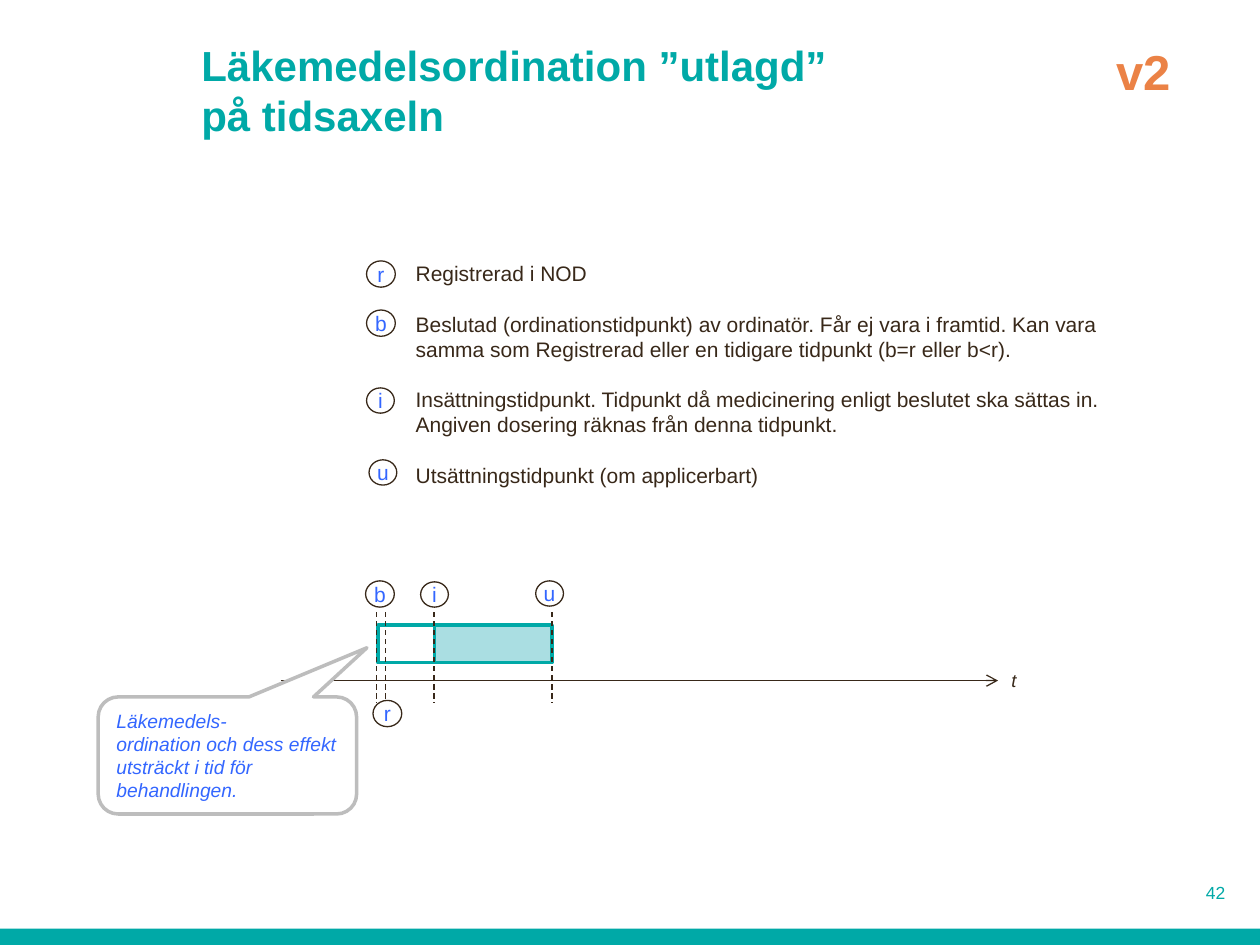
from lxml import etree
from pptx import Presentation
from pptx import util as u
from pptx.dml.color import RGBColor
from pptx.enum import dml, shapes, text
from pptx.oxml.ns import qn

# Content; all places are in cm
TITLE = "Läkemedelsordination ”utlagd”\vpå tidsaxeln"
LEGEND = [
    "Registrerad i NOD",
    "Beslutad (ordinationstidpunkt) av ordinatör. Får ej vara i framtid. "
    "Kan vara samma som Registrerad eller en tidigare tidpunkt (b=r eller b<r).",
    "Insättningstidpunkt. Tidpunkt då medicinering enligt beslutet ska sättas in. "
    "Angiven dosering räknas från denna tidpunkt.",
    "Utsättningstidpunkt (om applicerbart)",
]
NOTE = ["Läkemedels-\vordination och dess effekt",
        "utsträckt i tid för behandlingen."]
MARKS = [  # letter, left, top
    ("b", 7.37, 11.71), ("i", 8.48, 11.73), ("u", 10.8, 11.71), ("r", 7.52, 14.12),
    ("r", 7.39, 5.26), ("b", 7.39, 6.25), ("i", 7.39, 7.82), ("u", 7.44, 9.27),
]
SIZES = {"b": (0.58, 0.53), "r": (0.58, 0.53), "i": (0.56, 0.51), "u": (0.56, 0.51)}
TIMES = {"b": 7.59, "r": 7.77, "i": 8.75, "u": 11.13}
BARS = [("i", 8.74, 2.39, "pale"), ("b", 7.62, 1.14, "white")]
BAR_Y, BAR_H = 12.6, 0.76
DASH_Y = (12.34, 14.17)
AXIS = (5.66, 20.12, 13.72)

THEME = {
    "font": "Arial",
    "teal": "00A9A7", "pale": "AADEE2", "white": "FFFFFF", "ink": "382819",
    "blue": "3366FF", "grey": "BDBDBD", "amber": "EB8246",
    "title": 24, "body": 12, "note": 11, "axis": 10.5, "page": 10, "tag": 28,
    "thin": 0.75, "thick": 2,
}
LEFT, MID, RIGHT = text.PP_ALIGN.LEFT, text.PP_ALIGN.CENTER, text.PP_ALIGN.RIGHT


def tint(name):
    return RGBColor.from_string(THEME[name])


def apply(obj, vals):
    for key, val in vals.items():
        setattr(obj, key, val)


def write(shape, paras, size, hue, align=LEFT, gap=0, frame=None, **style):
    box = shape.text_frame
    apply(box, {"word_wrap": True, "vertical_anchor": text.MSO_ANCHOR.TOP,
                **(frame or {})})
    for n, line in enumerate(paras):
        para = box.add_paragraph() if n else box.paragraphs[0]
        para.text = line
        para.alignment = align
        if n and gap:
            para.space_before = u.Pt(gap)
        for run in para.runs:
            apply(run.font, {"name": THEME["font"], "size": u.Pt(THEME[size]), **style})
            run.font.color.rgb = tint(hue)


def label(slide, place, *args, **opts):
    write(slide.shapes.add_textbox(*map(u.Cm, place)), *args, **opts)


def form(slide, kind, place, fill, line=None, width="thin"):
    shape = slide.shapes.add_shape(kind, *map(u.Cm, place))
    shape.shadow.inherit = False
    shape.fill.solid()
    shape.fill.fore_color.rgb = tint(fill)
    if line:
        shape.line.color.rgb = tint(line)
        shape.line.width = u.Pt(THEME[width])
    else:
        shape.line.fill.background()
    return shape


def rule(slide, ends):
    line = slide.shapes.add_connector(shapes.MSO_CONNECTOR.STRAIGHT, *map(u.Cm, ends))
    line.line.color.rgb = tint("ink")
    line.line.width = u.Pt(THEME["thin"])
    etree.SubElement(line._element.spPr, qn("a:effectLst"))
    return line


def main():
    deck = Presentation()
    apply(deck, {"slide_width": u.Cm(25.4), "slide_height": u.Cm(19.05)})
    slide = deck.slides.add_slide(deck.slide_layouts[6])
    kind = shapes.MSO_SHAPE

    # Footer band, title and page number
    form(slide, kind.RECTANGLE, (0, 18.72, 25.4, 0.33), "teal")
    label(slide, (3.81, 1.02, 18.87, 1.93), [TITLE], "title", "teal", bold=True,
          frame={"vertical_anchor": text.MSO_ANCHOR.BOTTOM})
    label(slide, (23.22, 17.65, 1.73, 0.61), ["42"], "page", "teal", RIGHT)

    # Bars on the time axis
    for _, left, wide, fill in BARS:
        form(slide, kind.RECTANGLE, (left, BAR_Y, wide, BAR_H), fill, "teal", "thick")

    # Axis with arrowhead and its name
    start, end, y = AXIS
    axis = rule(slide, (start, y, end, y))
    etree.SubElement(axis.line._get_or_add_ln(), qn("a:tailEnd"), type="arrow")
    label(slide, (20.14, 13.36, 0.79, 0.71), ["t"], "axis", "ink", italic=True)

    # Dashed time marks
    for x in TIMES.values():
        rule(slide, (x, DASH_Y[0], x, DASH_Y[1])).line.dash_style = dml.MSO_LINE.DASH

    # Lettered circles
    tight = {"margin_" + side: 0 for side in ("left", "top", "right", "bottom")}
    tight.update(vertical_anchor=text.MSO_ANCHOR.MIDDLE, word_wrap=False)
    for letter, left, top in MARKS:
        ring = form(slide, kind.OVAL, (left, top, *SIZES[letter]), "white", "ink")
        write(ring, [letter], "body", "blue", MID, frame=tight)

    # Legend
    label(slide, (8.13, 5.13, 14.86, 4.88), LEGEND, "body", "ink", gap=14.4)

    # Callout
    call = form(slide, kind.ROUNDED_RECTANGULAR_CALLOUT, (1.98, 14.05, 5.21, 2.36),
                "white", "grey", "thick")
    for n, val in enumerate((0.54, -0.92, 0.17)):
        call.adjustments[n] = val
    write(call, NOTE, "note", "blue", italic=True)

    # Version tag
    label(slide, (21.44, 0.71, 3.23, 1.45), ["v2"], "tag", "amber", MID, bold=True)

    deck.save("out.pptx")


if __name__ == "__main__":
    main()
